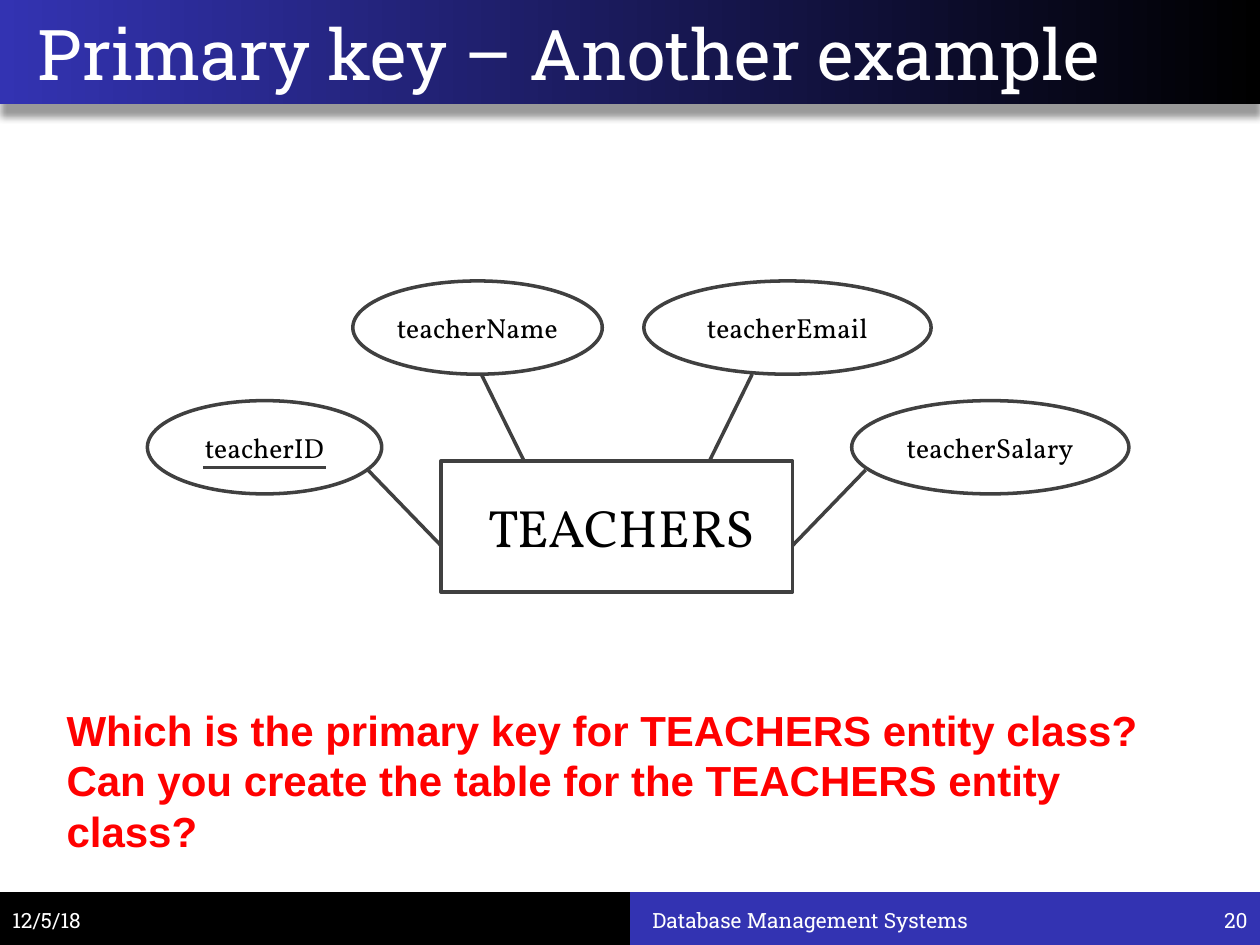
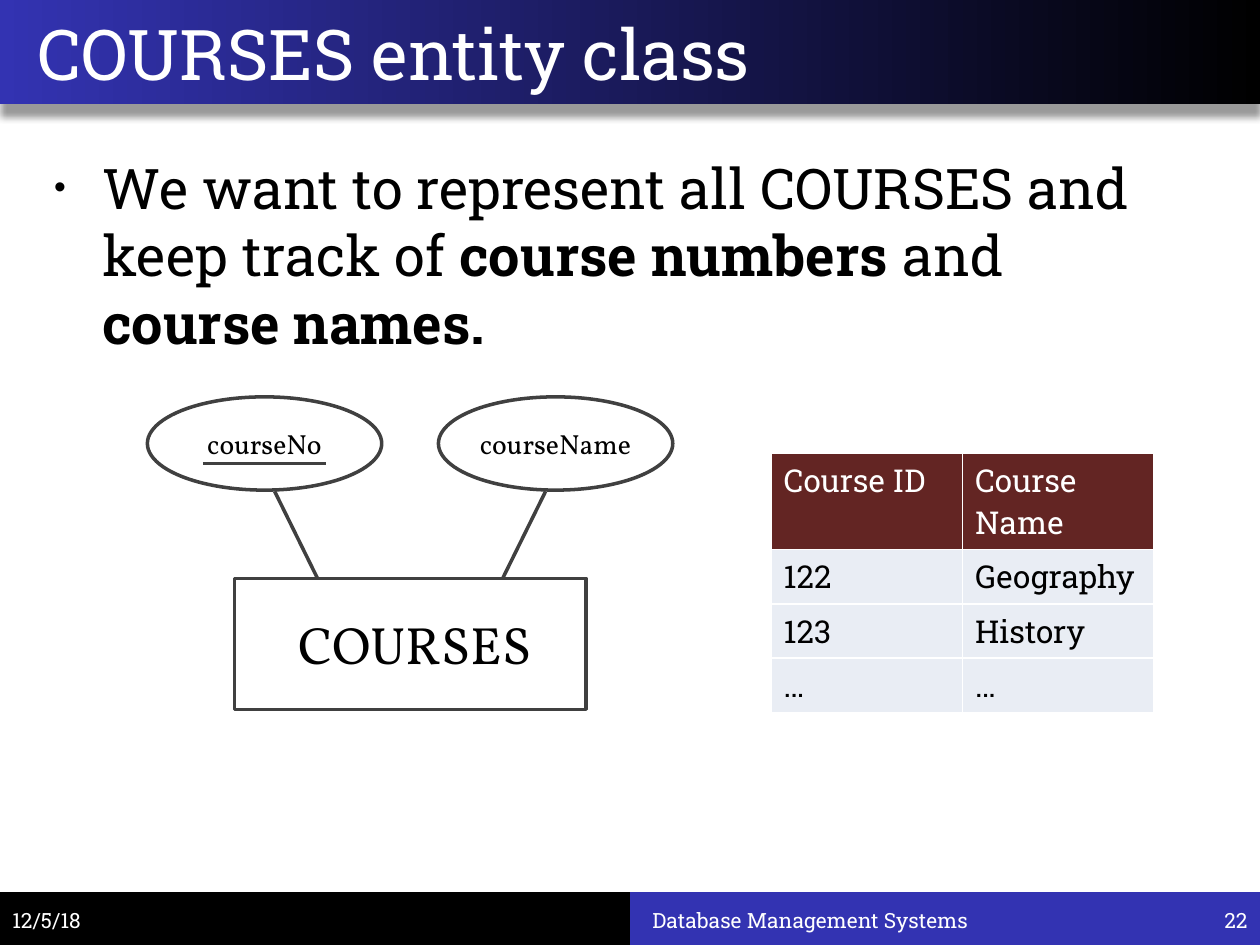
"""Build two slides about entity classes and their primary keys."""
from lxml import etree
from pptx import Presentation
from pptx.dml.color import RGBColor
from pptx.enum.shapes import MSO_CONNECTOR, MSO_SHAPE
from pptx.enum.text import MSO_ANCHOR, MSO_AUTO_SIZE, PP_ALIGN
from pptx.oxml.ns import qn
from pptx.util import Inches, Pt

LEFT, CENTER, RIGHT = PP_ALIGN.LEFT, PP_ALIGN.CENTER, PP_ALIGN.RIGHT
TOP, MIDDLE = MSO_ANCHOR.TOP, MSO_ANCHOR.MIDDLE
RECTANGLE, OVAL = MSO_SHAPE.RECTANGLE, MSO_SHAPE.OVAL
STRAIGHT, NO_FIT = MSO_CONNECTOR.STRAIGHT, MSO_AUTO_SIZE.NONE
CONTENT_LAYOUT, TITLE_LAYOUT = 1, 5

WIDTH, HEIGHT = 10, 7.5
HEADER_HEIGHT, FOOTER_HEIGHT = 0.83, 0.42
BLUE, BLACK, WHITE, RED = "3333B2", "000000", "FFFFFF", "FF0000"
OUTLINE, TABLE_HEAD, TABLE_BODY = "404040", "632523", "E9EDF4"
SLAB, SERIF, SANS = "Roboto Slab", "Vollkorn", "Arial"

ENTITY_SIZE = (2.79, 1.04)
OVAL_HEIGHT = 0.74
TOP_LINK = ((0.32, -0.69), (0.66, 0))
SIDE_LINK = ((-0.58, 0.07), (0, 0.67))

DATE, COURSE = "12/5/18", "Database Management Systems"
TEACHERS = {
    "name": "TEACHERS", "name_width": 2.29, "at": (3.5, 3.66),
    "links": [SIDE_LINK, TOP_LINK],
    "key": "teacherID",
    "attributes": [("teacherID", 1.17, 3.18, 1.86), ("teacherName", 2.8, 2.23, 1.98),
                   ("teacherEmail", 5.11, 2.23, 2.28), ("teacherSalary", 6.76, 3.18, 2.2)],
}
COURSES = {
    "name": "COURSES", "name_width": 2.08, "at": (1.86, 4.59),
    "links": [TOP_LINK],
    "key": "courseNo",
    "attributes": [("courseNo", 1.17, 3.15, 1.86), ("courseName", 3.48, 3.15, 1.86)],
}
QUESTIONS = ["Which is the primary key for TEACHERS entity class?",
             "Can you create the table for the TEACHERS entity class?"]
COURSE_GOAL = ("We want to represent all COURSES and keep track of "
               "**course numbers** and **course names.**")
COURSE_ROWS = [("Course ID", "Course Name"), ("122", "Geography"),
               ("123", "History"), ("…", "…")]


def color(value):
    return RGBColor.from_string(value)


def inches(*lengths):
    return [Inches(length) for length in lengths]


def write(frame, *lines, size=12, font=SLAB, ink=BLACK, bold=False, align=LEFT,
          anchor=None, margin=None, wrap=True):
    """Fill a text frame; parts between double asterisks are bold."""
    frame.word_wrap = wrap
    frame.auto_size = NO_FIT
    if anchor is not None:
        frame.vertical_anchor = anchor
    if margin is not None:
        frame.margin_left = frame.margin_right = Inches(margin)
        frame.margin_top = frame.margin_bottom = Inches(margin)
    for index, line in enumerate(lines):
        para = frame.add_paragraph() if index else frame.paragraphs[0]
        para.alignment = align
        for part, text in enumerate(line.split("**")):
            if text:
                span = para.add_run()
                span.text = text
                span.font.size, span.font.name = Pt(size), font
                span.font.bold = bold or part % 2 == 1
                span.font.color.rgb = color(ink)


def indent(para, left, first=0):
    properties = para._p.get_or_add_pPr()
    properties.set("marL", str(Inches(left)))
    properties.set("indent", str(Inches(first)))
    return properties


def place(shape, left, top, width, height):
    shape.left, shape.top, shape.width, shape.height = inches(left, top, width, height)


def add_text(page, at, *lines, **style):
    box = page.shapes.add_textbox(*inches(*at))
    write(box.text_frame, *lines, **style)


def add_outline(page, kind, at):
    shape = page.shapes.add_shape(kind, *inches(*at))
    shape.shadow.inherit = False
    shape.fill.background()
    shape.line.color.rgb, shape.line.width = color(OUTLINE), Pt(2)
    return shape


def add_line(page, start, end):
    line = page.shapes.add_connector(STRAIGHT, *inches(*start, *end))
    line.line.color.rgb, line.line.width = color(OUTLINE), Pt(2)
    etree.SubElement(line.element.spPr, qn("a:effectLst"))


def add_band(page, at, fill=None):
    band = page.shapes.add_shape(RECTANGLE, *inches(*at))
    band.shadow.inherit = False
    band.line.fill.background()
    if fill:
        band.fill.solid()
        band.fill.fore_color.rgb = color(fill)
    return band


def add_shadow(shape):
    effects = shape.element.spPr.find(qn("a:effectLst"))
    shadow = etree.SubElement(effects, qn("a:outerShdw"), blurRad=str(Pt(4)),
                              dist=str(Pt(7)), dir="5400000", rotWithShape="0")
    ink = etree.SubElement(shadow, qn("a:srgbClr"), val=BLACK)
    etree.SubElement(ink, qn("a:alpha"), val="40000")


def add_master_bands(deck, page):
    """Draw the shared bands and move them to the back of the master."""
    half, foot = WIDTH / 2, HEIGHT - FOOTER_HEIGHT
    header = add_band(page, (0, 0, WIDTH, HEADER_HEIGHT))
    header.fill.gradient()
    header.fill.gradient_angle = 180
    for stop, position, ink in zip(header.fill.gradient_stops, (0, 1), (BLACK, BLUE)):
        stop.position, stop.color.rgb = position, color(ink)
    add_shadow(header)
    bands = [header, add_band(page, (0, foot, half, FOOTER_HEIGHT), BLACK),
             add_band(page, (half, foot, half, FOOTER_HEIGHT), BLUE)]
    for band in bands:
        deck.slide_master.shapes.element.insert(2, band.element)


def add_page(deck, layout, title, number):
    page = deck.slides.add_slide(deck.slide_layouts[layout])
    heading = page.shapes.title
    place(heading, 0, 0, 9.75, HEADER_HEIGHT)
    write(heading.text_frame, title, size=40, ink=WHITE, anchor=MIDDLE)
    indent(heading.text_frame.paragraphs[0], 0.2)
    for text, left, width, align in [(DATE, 0, 1.17, LEFT), (COURSE, 5.08, 3.92, LEFT),
                                     (str(number), 9.42, 0.58, RIGHT)]:
        add_text(page, (left, 7.1, width, 0.4), text, ink=WHITE, align=align, anchor=MIDDLE)
    return page


def add_entity(page, entity):
    """Draw an entity, its attributes, mirrored links and the key underline."""
    (left, top), (width, height) = entity["at"], ENTITY_SIZE
    add_outline(page, RECTANGLE, (left, top, width, height))
    name_width = entity["name_width"]
    name_left = left + (width - name_width) / 2 + 0.04
    add_text(page, (name_left, top + 0.27, name_width, 0.5), entity["name"], size=30,
             font=SERIF, align=CENTER, anchor=MIDDLE, margin=0, wrap=False)
    for name, x, y, oval_width in entity["attributes"]:
        oval = add_outline(page, OVAL, (x, y, oval_width, OVAL_HEIGHT))
        write(oval.text_frame, name, size=15.8, font=SERIF, align=CENTER,
              anchor=MIDDLE, margin=0)
        if name == entity["key"]:
            add_line(page, (x + 0.44, y + 0.53), (x + 1.42, y + 0.53))
    for link in entity["links"]:
        add_line(page, *[(left + x, top + y) for x, y in link])
        add_line(page, *[(left + width - x, top + y) for x, y in link])


def add_body(page, text):
    body = page.placeholders[1]
    place(body, 0.33, 1.17, 9.17, 5.53)
    write(body.text_frame, text, size=32, anchor=TOP)
    properties = indent(body.text_frame.paragraphs[0], 0.38, -0.38)
    etree.SubElement(properties, qn("a:buSzPct"), val="60000")
    etree.SubElement(properties, qn("a:buChar"), char="•")


def add_course_table(page, rows):
    at = inches(6.12, 3.6, 3.04, 0.41 * len(rows))
    table = page.shapes.add_table(len(rows), len(rows[0]), *at).table
    for row_index, row in enumerate(rows):
        fill, ink = (TABLE_BODY, BLACK) if row_index else (TABLE_HEAD, WHITE)
        for column_index, text in enumerate(row):
            cell = table.cell(row_index, column_index)
            cell.fill.solid()
            cell.fill.fore_color.rgb = color(fill)
            write(cell.text_frame, text, size=18, ink=ink)


def main():
    deck = Presentation()
    deck.slide_width, deck.slide_height = inches(WIDTH, HEIGHT)

    teachers = add_page(deck, TITLE_LAYOUT, "Primary key – Another example", 20)
    add_master_bands(deck, teachers)
    add_entity(teachers, TEACHERS)
    add_text(teachers, (0.43, 5.54, 9.07, 1.31), *QUESTIONS, size=24, font=SANS,
             ink=RED, bold=True)

    courses = add_page(deck, CONTENT_LAYOUT, "COURSES entity class", 22)
    add_body(courses, COURSE_GOAL)
    add_entity(courses, COURSES)
    add_course_table(courses, COURSE_ROWS)

    deck.save("out.pptx")


if __name__ == "__main__":
    main()
